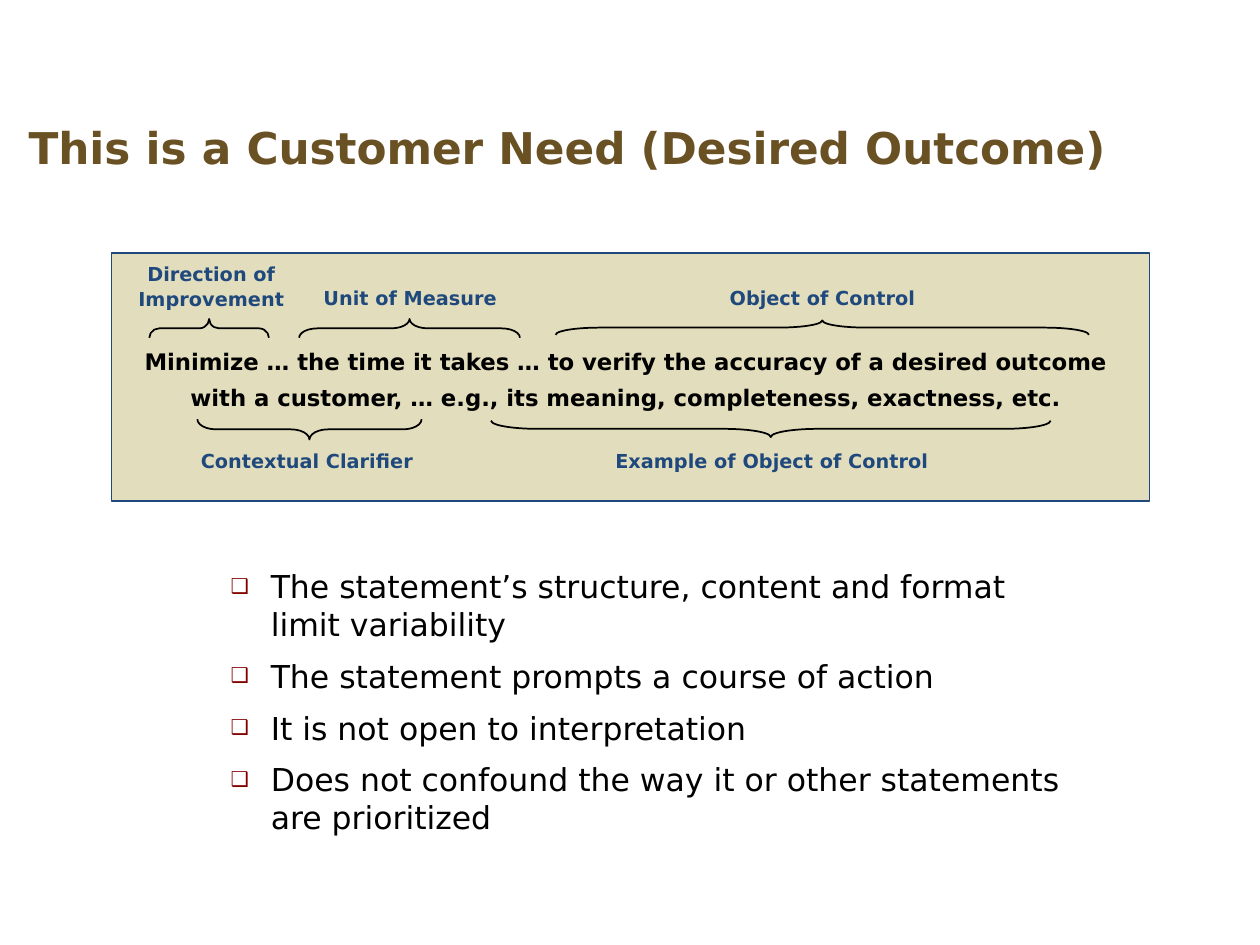
"""Builds a slide that explains the parts of a customer need statement."""
from lxml import etree
from pptx import Presentation
from pptx import util as u
from pptx.dml.color import RGBColor
from pptx.enum import shapes, text
from pptx.oxml import ns

COLOURS = {
    "title": "6A5124",
    "paper": "FFFFFF",
    "ink": "000000",
    "panel": "E2DDBC",
    "label": "1F497D",
    "bullet": "800000",
}
FONT = "DejaVu Sans"
STATEMENT = [
    "Minimize … the time it takes … to verify the accuracy of a desired outcome",
    "with a customer, … e.g., its meaning, completeness, exactness, etc.",
]
LABELS = [
    (["Direction of", "Improvement"], 2.01, 0.66, 3.4),
    (["Unit of Measure"], 6.02, 0.89, 4),
    (["Object of Control"], 14.33, 0.89, 4.2),
    (["Contextual Clarifier"], 3.94, 4.17, 4.8),
    (["Example of Object of Control"], 13.31, 4.17, 6.8),
]
BRACES = [
    (0.76, 1.33, 2.41, 0.38, 90),
    (3.78, 1.33, 4.45, 0.38, 90),
    (8.95, 1.36, 10.75, 0.29, 90),
    (1.73, 3.35, 4.52, 0.41, 270),
    (7.65, 3.38, 11.28, 0.33, 270),
]
POINTS = [
    "The statement’s structure, content and format limit variability",
    "The statement prompts a course of action",
    "It is not open to interpretation",
    "Does not confound the way it or other statements are prioritized",
]


def colour(name):
    """Return the named colour."""
    return RGBColor.from_string(COLOURS[name])


def lengths(*values):
    """Turn numbers in centimetres into lengths."""
    return [u.Cm(value) for value in values]


def set_margins(frame, side, end):
    """Set the side margins and the top and bottom margins of a text frame."""
    frame.margin_left = frame.margin_right = u.Cm(side)
    frame.margin_top = frame.margin_bottom = u.Cm(end)


def add_text(page, area, lines, size, ink, bold=True, spacing=None):
    """Add a centred text box with one paragraph per line."""
    box = page.shapes.add_textbox(*lengths(*area))
    frame = box.text_frame
    frame.word_wrap = True
    frame.vertical_anchor = text.MSO_ANCHOR.MIDDLE
    frame.text = "\n".join(lines)
    for para in frame.paragraphs:
        para.alignment = text.PP_ALIGN.CENTER
        para.line_spacing = spacing
        for span in para.runs:
            span.font.name = FONT
            span.font.size = u.Pt(size)
            span.font.bold = bold
            span.font.color.rgb = colour(ink)
    return box


def add_label(page, centre_x, centre_y, lines, width):
    """Add a label centred on a point."""
    height = 0.5 * len(lines)
    area = centre_x - width / 2, centre_y - height / 2, width, height
    box = add_text(page, area, lines, 11, "label", spacing=1.05)
    set_margins(box.text_frame, 0, 0)


def add_brace(page, left, top, span, depth, turn):
    """Add a horizontal brace whose tip points up at 90 and down at 270."""
    middle_x, middle_y = left + span / 2, top + depth / 2
    area = middle_x - depth / 2, middle_y - span / 2, depth, span
    brace = page.shapes.add_shape(shapes.MSO_SHAPE.LEFT_BRACE, *lengths(*area))
    brace.rotation = turn
    brace.adjustments[0] = span / depth / 12
    brace.shadow.inherit = False
    brace.fill.background()
    brace.line.color.rgb = colour("ink")
    brace.line.width = u.Pt(1)


def add_bullet(para):
    """Give a paragraph a small square bullet with a hanging indent."""
    props = para._p.get_or_add_pPr()
    props.set("marL", str(u.Cm(0.81)))
    props.set("indent", str(u.Cm(-0.81)))
    tint = etree.SubElement(props, ns.qn("a:buClr"))
    etree.SubElement(tint, ns.qn("a:srgbClr"), val=COLOURS["bullet"])
    etree.SubElement(props, ns.qn("a:buSzPct"), val="65000")
    etree.SubElement(props, ns.qn("a:buFont"), typeface=FONT)
    etree.SubElement(props, ns.qn("a:buChar"), char="❑")


def draw_title(page, area):
    """Draw the slide title."""
    box = add_text(page, area, ["This is a Customer Need (Desired Outcome)"], 25, "title")
    box.fill.solid()
    box.fill.fore_color.rgb = colour("paper")


def draw_panel(page, area):
    """Draw the statement with its braces and labels in a tinted panel."""
    left, top, width, height = area
    panel = page.shapes.add_shape(shapes.MSO_SHAPE.RECTANGLE, *lengths(*area))
    panel.shadow.inherit = False
    panel.fill.solid()
    panel.fill.fore_color.rgb = colour("panel")
    panel.line.color.rgb = colour("label")
    panel.line.width = u.Pt(0.75)
    statement = left + 0.38, top + 1.35, width - 0.99, 2.24
    add_text(page, statement, STATEMENT, 13, "ink", spacing=1.3)
    for x, y, span, depth, turn in BRACES:
        add_brace(page, left + x, top + y, span, depth, turn)
    for lines, x, y, label_width in LABELS:
        add_label(page, left + x, top + y, lines, label_width)


def draw_points(page, area):
    """Draw the bulleted list."""
    box = add_text(page, area, POINTS, 18, "ink", bold=False)
    frame = box.text_frame
    frame.vertical_anchor = text.MSO_ANCHOR.TOP
    set_margins(frame, 0.23, 0.11)
    for index, para in enumerate(frame.paragraphs):
        add_bullet(para)
        para.alignment = text.PP_ALIGN.LEFT
        para.space_before = u.Pt(7.9 if index else 0)


def main():
    """Build the deck and save it."""
    deck = Presentation()
    deck.slide_width, deck.slide_height = lengths(25.4, 19.05)
    page = deck.slides.add_slide(deck.slide_layouts[6])
    draw_title(page, (0, 1.98, 22.86, 1.98))
    draw_points(page, (4.42, 11.33, 17.35, 4.06))
    draw_panel(page, (2.25, 5.1, 20.93, 5))
    deck.save("out.pptx")


if __name__ == "__main__":
    main()
